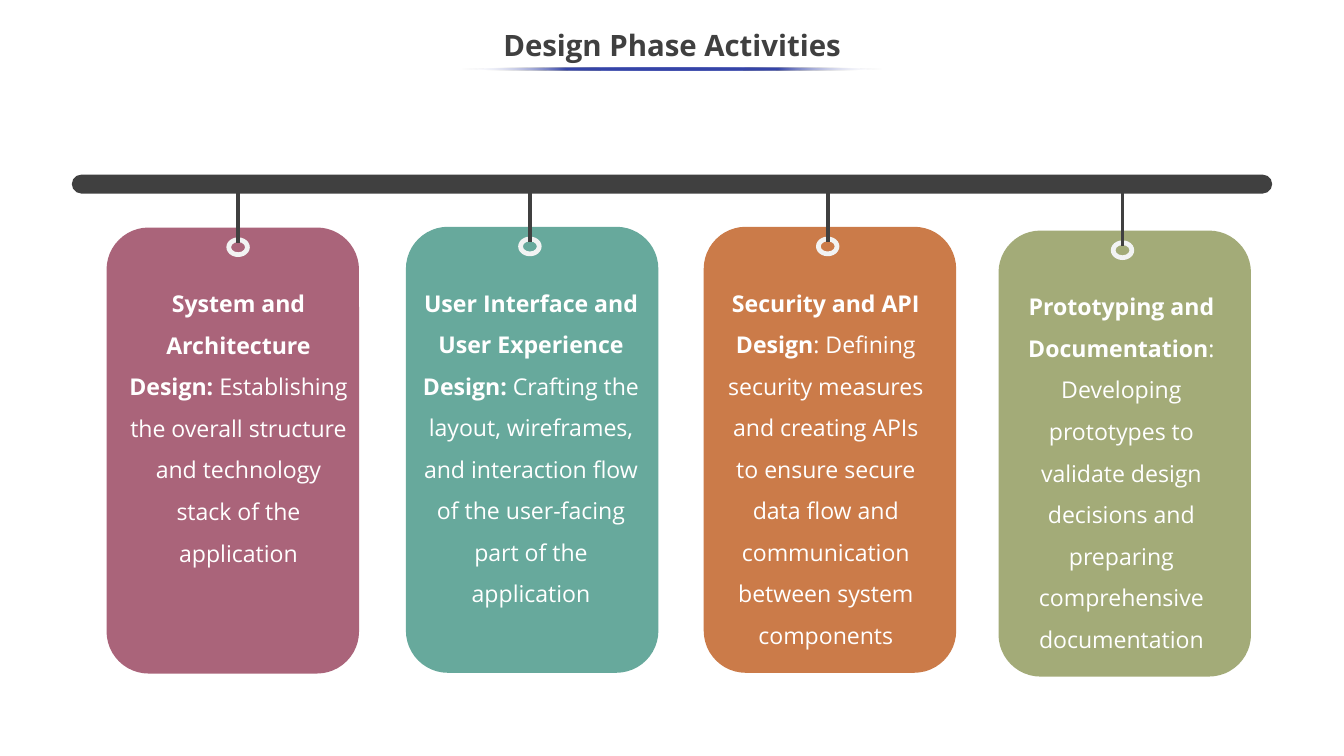
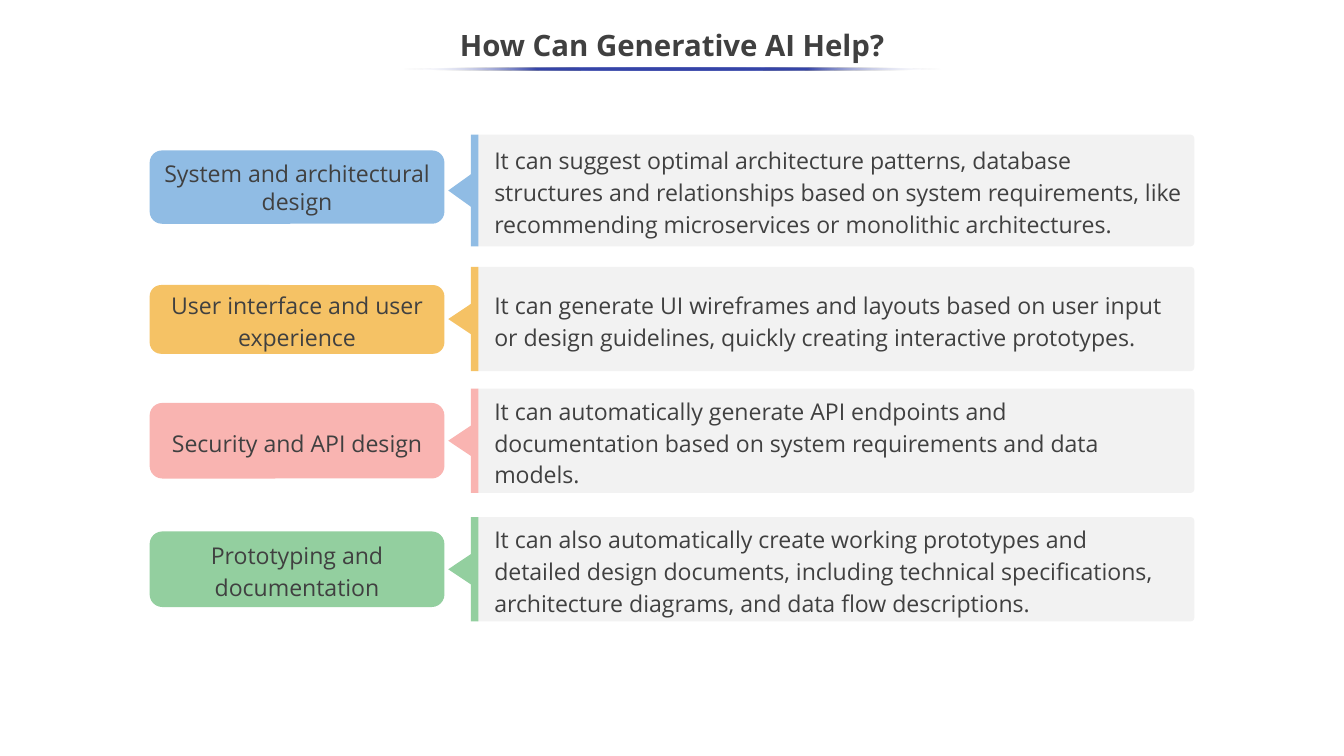
from collections import namedtuple

from lxml.etree import SubElement
from pptx import Presentation
from pptx.dml.color import RGBColor
from pptx.enum.shapes import MSO_CONNECTOR, MSO_SHAPE
from pptx.enum.text import MSO_ANCHOR, PP_ALIGN
from pptx.oxml import parse_xml
from pptx.oxml.ns import nsdecls, qn
from pptx.util import Inches, Pt

FONT = "Open Sans"
WHITE = RGBColor(0xFF, 0xFF, 0xFF)
CHARCOAL = RGBColor(0x40, 0x40, 0x40)
INDIGO = RGBColor(0x36, 0x45, 0xA9)
RING_GRAY = RGBColor(0xF2, 0xF3, 0xF3)
PANEL_GRAY = RGBColor(0xF2, 0xF2, 0xF2)
MAUVE = RGBColor(0xAA, 0x64, 0x7A)
TEAL = RGBColor(0x67, 0xA9, 0x9C)
ORANGE = RGBColor(0xCB, 0x7B, 0x49)
OLIVE = RGBColor(0xA3, 0xAB, 0x78)
BLUE = RGBColor(0x90, 0xBC, 0xE4)
YELLOW = RGBColor(0xF5, 0xC2, 0x65)
PINK = RGBColor(0xF9, 0xB4, 0xB1)
GREEN = RGBColor(0x93, 0xCF, 0x9F)

SLIDE_WIDTH, SLIDE_HEIGHT = 17.78, 10
CARD_WIDTH, CARD_HEIGHT = 3.34, 5.9
RING_WIDTH, RING_HEIGHT = 0.31, 0.26
BAR_TOP, BAR_HEIGHT = 2.31, 0.25

Box = namedtuple("Box", "left top width height")
Card = namedtuple("Card", "left top color ring_center text_left text_width heading body")
Row = namedtuple("Row", "top height color label_top label_height label_spacing text_width label body")

CARDS = [
    Card(1.41, 3.01, MAUVE, 1.74, 0.16, 3.17, "System and Architecture Design:",
         " Establishing the overall structure and technology stack of the application"),
    Card(5.37, 3, TEAL, 1.64, 0.04, 3.23, "User Interface and User Experience Design:",
         " Crafting the layout, wireframes, and interaction flow of the user-facing part of the application"),
    Card(9.31, 3, ORANGE, 1.64, 0.2, 2.83, "Security and API Design",
         ": Defining security measures and creating APIs to ensure secure data flow "
         "and communication between system components"),
    Card(13.21, 3.05, OLIVE, 1.64, 0.21, 2.83, "Prototyping and Documentation",
         ": Developing prototypes to validate design decisions and preparing comprehensive documentation"),
]

ROWS = [
    Row(1.78, 1.48, BLUE, 0.21, 0.97, 1, 9.29, "System and architectural design",
        "It can suggest optimal architecture patterns, database structures and relationships based on "
        "system requirements, like recommending microservices or monolithic architectures."),
    Row(3.53, 1.38, YELLOW, 0.24, 0.91, 1.15, 9.18, "User interface and user experience",
        "It can generate UI wireframes and layouts based on user input or design guidelines, "
        "quickly creating interactive prototypes."),
    Row(5.14, 1.38, PINK, 0.19, 1, 1.15, 9.18, "Security and API design",
        "It can automatically generate API endpoints and documentation based on "
        "system requirements and data models."),
    Row(6.84, 1.38, GREEN, 0.19, 1, 1.15, 9.18, "Prototyping and documentation",
        "It can also automatically create working prototypes and detailed design documents, "
        "including technical specifications, architecture diagrams, and data flow descriptions."),
]


def to_inches(box):
    return [Inches(length) for length in box]


def add_block(page, preset, box, color, adjustments=(), rotation=0):
    shape = page.shapes.add_shape(preset, *to_inches(box))
    shape.shadow.inherit = False
    shape.fill.solid()
    shape.fill.fore_color.rgb = color
    shape.line.fill.background()
    shape.rotation = rotation
    for index, value in enumerate(adjustments):
        shape.adjustments[index] = value
    return shape


def add_turned_block(page, preset, box, color, rotation, adjustments=()):
    shift = (box.width - box.height) / 2
    upright = Box(box.left + shift, box.top - shift, box.height, box.width)
    return add_block(page, preset, upright, color, adjustments, rotation)


def write_text(shape, *spans, size=22, color=CHARCOAL, align=PP_ALIGN.LEFT,
               spacing=1.15, anchor=MSO_ANCHOR.MIDDLE):
    frame = shape.text_frame
    frame.word_wrap = True
    frame.vertical_anchor = anchor
    para = frame.paragraphs[0]
    para.alignment = align
    para.line_spacing = spacing
    for text, bold in spans:
        span = para.add_run()
        span.text = text
        span.font.name = FONT
        span.font.size = Pt(size)
        span.font.bold = bold
        span.font.color.rgb = color


def add_text(page, box, *spans, **formatting):
    write_text(page.shapes.add_textbox(*to_inches(box)), *spans, **formatting)


def fade_ends(shape):
    stops = [(0, WHITE, 0), (25, INDIGO, 100), (75, INDIGO, 100), (100, WHITE, 0)]
    gradient = parse_xml(f'<a:gradFill {nsdecls("a")} rotWithShape="1"><a:gsLst/><a:lin ang="0" scaled="0"/></a:gradFill>')
    for position, color, opacity in stops:
        stop = SubElement(gradient[0], qn("a:gs"), pos=str(position * 1000))
        tint = SubElement(stop, qn("a:srgbClr"), val=str(color))
        SubElement(tint, qn("a:alpha"), val=str(opacity * 1000))
    properties = shape.fill._xPr
    properties.replace(properties.find(qn("a:solidFill")), gradient)


def add_title(page, title, underline_width):
    add_text(page, Box(0, 0.25, SLIDE_WIDTH, 0.75), (title, True),
             size=28, align=PP_ALIGN.CENTER, spacing=0.9)
    left = (SLIDE_WIDTH - underline_width) / 2
    fade_ends(add_block(page, MSO_SHAPE.OVAL, Box(left, 0.89, underline_width, 0.04), INDIGO))


def add_rod(page, center, top, bottom):
    rod = page.shapes.add_connector(
        MSO_CONNECTOR.STRAIGHT, Inches(center), Inches(top), Inches(center), Inches(bottom))
    rod.line.color.rgb = CHARCOAL
    rod.line.width = Pt(3.6)
    SubElement(rod.line._ln.getparent(), qn("a:effectLst"))


def add_hanging_card(page, card):
    center = card.left + card.ring_center
    add_block(page, MSO_SHAPE.ROUNDED_RECTANGLE,
              Box(card.left, card.top, CARD_WIDTH, CARD_HEIGHT), card.color)
    add_block(page, MSO_SHAPE.DONUT,
              Box(center - RING_WIDTH / 2, card.top + 0.13, RING_WIDTH, RING_HEIGHT), RING_GRAY, [0.24])
    add_rod(page, center, BAR_TOP + BAR_HEIGHT / 2, card.top + 0.2)
    add_text(page, Box(card.left + card.text_left, card.top + 0.59, card.text_width, 5.2),
             (card.heading, True), (card.body, False),
             color=WHITE, align=PP_ALIGN.CENTER, spacing=1.5, anchor=MSO_ANCHOR.TOP)


def add_help_row(page, row):
    label = add_block(page, MSO_SHAPE.ROUNDED_RECTANGLE,
                      Box(1.98, row.top + row.label_top, 3.9, row.label_height), row.color, [0.167])
    write_text(label, (row.label, False), align=PP_ALIGN.CENTER, spacing=row.label_spacing)
    add_turned_block(page, MSO_SHAPE.ROUND_2_SAME_RECTANGLE,
                     Box(6.32, row.top, 9.48, row.height), PANEL_GRAY, 90, [0.037, 0])
    add_block(page, MSO_SHAPE.RECTANGLE, Box(6.23, row.top, 0.1, row.height), row.color)
    pointer_height = row.height * 0.3
    pointer_top = row.top + (row.height - pointer_height) / 2
    add_turned_block(page, MSO_SHAPE.ISOSCELES_TRIANGLE,
                     Box(5.93, pointer_top, 0.31, pointer_height), row.color, 270)
    add_text(page, Box(6.44, row.top, row.text_width, row.height), (row.body, False))


def build_activities(page):
    add_title(page, "Design Phase Activities", 5.58)
    add_block(page, MSO_SHAPE.ROUNDED_RECTANGLE, Box(0.95, BAR_TOP, 15.88, BAR_HEIGHT), CHARCOAL, [0.5])
    for card in CARDS:
        add_hanging_card(page, card)


def build_help(page):
    add_title(page, "How Can Generative AI Help?", 7.14)
    for row in ROWS:
        add_help_row(page, row)


def main():
    deck = Presentation()
    deck.slide_width = Inches(SLIDE_WIDTH)
    deck.slide_height = Inches(SLIDE_HEIGHT)
    for build in (build_activities, build_help):
        build(deck.slides.add_slide(deck.slide_layouts[6]))
    deck.save("out.pptx")


if __name__ == "__main__":
    main()
